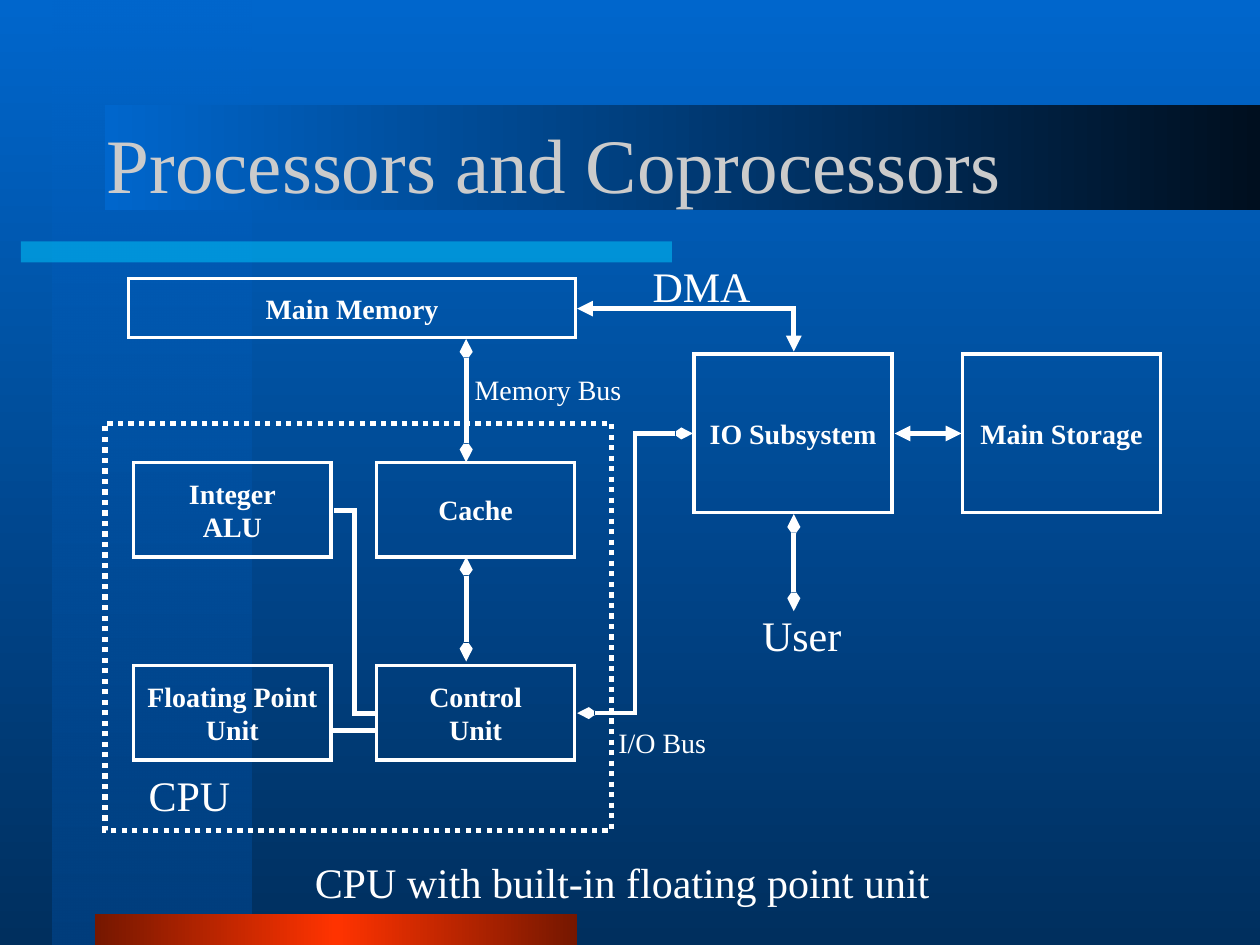
from lxml import etree
from pptx import Presentation
from pptx.dml.color import RGBColor
from pptx.enum.dml import MSO_LINE
from pptx.enum.shapes import MSO_CONNECTOR, MSO_SHAPE
from pptx.enum.text import MSO_ANCHOR, MSO_AUTO_SIZE, PP_ALIGN
from pptx.oxml.ns import qn
from pptx.util import Pt

RECTANGLE = MSO_SHAPE.RECTANGLE
STRAIGHT, ELBOW = MSO_CONNECTOR.STRAIGHT, MSO_CONNECTOR.ELBOW
DOTTED = MSO_LINE.ROUND_DOT
MIDDLE, TOP = MSO_ANCHOR.MIDDLE, MSO_ANCHOR.TOP
CENTER, LEFT = PP_ALIGN.CENTER, PP_ALIGN.LEFT
GROW = MSO_AUTO_SIZE.SHAPE_TO_FIT_TEXT
FONT = "Times New Roman"
WHITE = "FFFFFF"
HEAD_WIDTHS = {"arrow": "sm", "triangle": "med"}


def color(hex_value):
    """Turn a hex string into a colour."""
    return RGBColor.from_string(hex_value)


def set_alpha(color_element, percent):
    """Make a colour element partly transparent."""
    etree.SubElement(color_element, qn("a:alpha"), val=str(percent * 1000))


def set_gradient(fill, owner, stops, angle):
    """Fill with a linear gradient of (position, colour, opacity) stops."""
    fill.gradient()
    gradient = owner.find(".//" + qn("a:gradFill"))
    for child in list(gradient):
        gradient.remove(child)
    stop_list = etree.SubElement(gradient, qn("a:gsLst"))
    for position, hex_value, opacity in stops:
        stop = etree.SubElement(stop_list, qn("a:gs"), pos=str(position * 1000))
        tint = etree.SubElement(stop, qn("a:srgbClr"), val=hex_value)
        if opacity < 100:
            set_alpha(tint, opacity)
    etree.SubElement(gradient, qn("a:lin"), ang=str(angle * 60000), scaled="0")


def draw_line(shape, width):
    """Give a shape a white line with sharp corners and return its element."""
    shape.line.color.rgb = color(WHITE)
    shape.line.width = Pt(width)
    line = shape.element.spPr.find(qn("a:ln"))
    etree.SubElement(line, qn("a:miter"), lim="800000")
    return line


def add_rectangle(slide, left, top, width, height, line_width=0):
    """Add an unfilled rectangle, outlined in white if a width is given."""
    rectangle = slide.shapes.add_shape(
        RECTANGLE, Pt(left), Pt(top), Pt(width), Pt(height))
    rectangle.shadow.inherit = False
    rectangle.fill.background()
    if line_width:
        draw_line(rectangle, line_width)
    else:
        rectangle.line.fill.background()
    return rectangle


def write_text(shape, text, size, hex_value=WHITE, bold=False, align=LEFT, anchor=TOP):
    """Write one paragraph for each line of text."""
    frame = shape.text_frame
    frame.word_wrap = False
    frame.vertical_anchor = anchor
    for index, words in enumerate(text.split("\n")):
        paragraph = frame.add_paragraph() if index else frame.paragraphs[0]
        paragraph.alignment = align
        run = paragraph.add_run()
        run.text = words
        run.font.name = FONT
        run.font.size = Pt(size)
        run.font.bold = bold
        run.font.color.rgb = color(hex_value)


def add_label(slide, text, left, top, width, height, size):
    """Add a free-standing label."""
    label = slide.shapes.add_textbox(Pt(left), Pt(top), Pt(width), Pt(height))
    write_text(label, text, size)
    label.text_frame.auto_size = GROW


def add_link(slide, kind, start, end, ends=None, width=3, preset=None):
    """Add a white connector with the same arrowhead at both ends."""
    link = slide.shapes.add_connector(
        kind, Pt(start[0]), Pt(start[1]), Pt(end[0]), Pt(end[1]))
    line = draw_line(link, width)
    properties = link.element.spPr
    if ends:
        for tag in ("a:headEnd", "a:tailEnd"):
            etree.SubElement(line, qn(tag), type=ends, w=HEAD_WIDTHS[ends], len="med")
    if preset:
        properties.find(qn("a:prstGeom")).set("prst", preset)
    etree.SubElement(properties, qn("a:effectLst"))


def add_backdrop(slide, left, top, width, height):
    """Paint the background and its decorative bars."""
    set_gradient(slide.background.fill, slide.element,
                 [(0, "0066CC", 100), (100, "002F5E", 100)], 90)
    stripe = add_rectangle(slide, left + 30, top, 114, height)
    set_gradient(stripe.fill, stripe.element,
                 [(0, "0066CC", 50), (100, "003E7D", 100)], 90)
    rule = add_rectangle(slide, left + 12, top + 138, 372, 12)
    rule.fill.solid()
    rule.fill.fore_color.rgb = color("00CCFF")
    set_alpha(rule.element.spPr.find(".//" + qn("a:srgbClr")), 50)
    footer = add_rectangle(slide, left + 54, top + height - 18, 276, 18)
    set_gradient(footer.fill, footer.element,
                 [(0, "751700", 100), (50, "FF3300", 100), (100, "751700", 100)], 180)
    band = add_rectangle(slide, left + 60, top + 60, width - 60, 60)
    set_gradient(band.fill, band.element,
                 [(0, "000F1F", 100), (100, "0066CC", 100)], 180)


def add_title(slide, left, top, width, height):
    """Add the slide title."""
    title = slide.shapes.add_textbox(Pt(left), Pt(top), Pt(width), Pt(height))
    write_text(title, "Processors and Coprocessors", 44, "CBCBCB", anchor=MIDDLE)
    title.text_frame.word_wrap = True


def add_diagram(slide, left, top):
    """Draw the computer's units, the buses between them and their labels."""
    unit_width, unit_height, io_height = 113, 54, 90.7
    alu_x, cache_x, io_x, storage_x = 16.3, 155.3, 336.7, 490.1
    cache_y, control_y, io_y = 119.2, 235.2, 57.3
    units = [
        ("Main Memory", 13.4, 14.1, 255.6, 33.8),
        ("Integer\nALU", alu_x, cache_y, unit_width, unit_height),
        ("Cache", cache_x, cache_y, unit_width, unit_height),
        ("Floating Point\nUnit", alu_x, control_y, unit_width, unit_height),
        ("Control\nUnit", cache_x, control_y, unit_width, unit_height),
        ("IO Subsystem", io_x, io_y, unit_width, io_height),
        ("Main Storage", storage_x, io_y, unit_width, io_height),
    ]
    for name, x, y, width, height in units:
        unit = add_rectangle(slide, left + x, top + y, width, height, 2)
        write_text(unit, name, 16, bold=True, align=CENTER, anchor=MIDDLE)

    memory_x, io_middle_x, io_middle_y, control_middle_y = 206.4, 393.6, 102.7, 262.5
    links = [
        (STRAIGHT, (memory_x, 48.7), (memory_x, cache_y), "arrow"),
        (STRAIGHT, (memory_x, 173.2), (memory_x, 233), "arrow"),
        (ELBOW, (130.8, 146.6), (154.6, control_middle_y)),
        (STRAIGHT, (130.1, 272.6), (cache_x, 272.6)),
        (ELBOW, (336, io_middle_y), (269.8, control_middle_y), "arrow", 2.75),
        (ELBOW, (269.8, 31.4), (io_middle_x, 55.9), "triangle", 3, "bentConnector2"),
        (STRAIGHT, (451.2, io_middle_y), (489.4, io_middle_y), "triangle"),
        (STRAIGHT, (io_middle_x, 148.8), (io_middle_x, 204.2), "arrow"),
    ]
    for kind, start, end, *style in links:
        add_link(slide, kind, (left + start[0], top + start[1]),
                 (left + end[0], top + end[1]), *style)

    cpu = add_rectangle(slide, left, top + 96.9, 289.4, 232.6, 3)
    cpu.line.dash_style = DOTTED

    labels = [
        ("CPU", 17.8, 291.3, 62, 36, 24),
        ("User", 368.4, 199.9, 61, 36, 24),
        ("DMA", 305.8, 0.4, 72, 36, 24),
        ("I/O Bus", 286.3, 266.1, 68, 26.6, 16),
        ("Memory Bus", 204.2, 64.5, 102, 26.6, 16),
        ("CPU with built-in floating point unit", 112.8, 341, 368, 36, 24),
    ]
    for text, x, y, width, height, size in labels:
        add_label(slide, text, left + x, top + y, width, height, size)


def main():
    """Build and save the slide."""
    presentation = Presentation()
    presentation.slide_width, presentation.slide_height = Pt(720), Pt(540)
    slide = presentation.slides.add_slide(presentation.slide_layouts[6])
    add_backdrop(slide, 0, 0, 720, 540)
    add_title(slide, 54, 48, 612, 90)
    add_diagram(slide, 60, 145)
    presentation.save("out.pptx")


if __name__ == "__main__":
    main()
